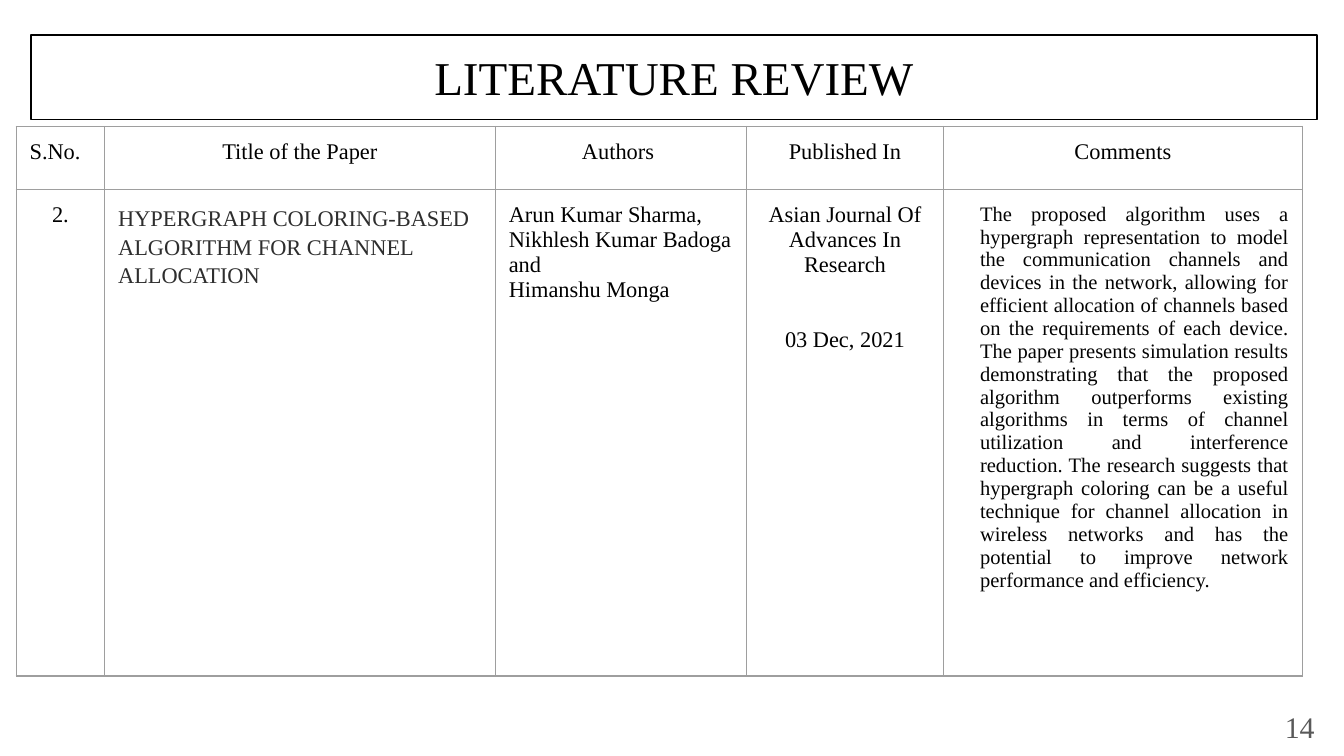
from dataclasses import dataclass

from lxml import etree
from pptx import Presentation
from pptx import util as u
from pptx.dml.color import RGBColor
from pptx.enum import text
from pptx.oxml import ns

ALIGN = text.PP_ALIGN
SLIDE_WIDTH = 10
SLIDE_HEIGHT = SLIDE_WIDTH * 9 / 16


@dataclass(frozen=True)
class Theme:
    font: str = "Times New Roman"
    ink: str = "000000"
    paper_title: str = "2E2E2E"
    comment: str = "030303"
    page_number: str = "595959"
    grid: str = "9E9E9E"
    title_size: float = 25.2
    number_size: float = 16
    cell_size: float = 12
    comment_size: float = 11
    line: float = 0.75
    inset: float = 0.1


THEME = Theme()


def write(frame, content, size=THEME.cell_size, color=THEME.ink, align=ALIGN.LEFT,
          spacing=None, indent=0, gap_before_last=0):
    """Fill a text frame, one paragraph per line of content."""
    lines = content.split("\n")
    for index, line in enumerate(lines):
        paragraph = frame.add_paragraph() if index else frame.paragraphs[0]
        paragraph.alignment = align
        if spacing:
            paragraph.line_spacing = spacing
        if indent:
            properties = paragraph._p.get_or_add_pPr()
            properties.set("marL", str(u.Inches(indent)))
            properties.set("indent", "0")
        if gap_before_last and index == len(lines) - 1:
            paragraph.space_before = u.Pt(gap_before_last)
        run = paragraph.add_run()
        run.text = line
        run.font.name = THEME.font
        run.font.size = u.Pt(size)
        run.font.color.rgb = RGBColor.from_string(color)


def set_insets(owner):
    for side in ("left", "top", "right", "bottom"):
        setattr(owner, f"margin_{side}", u.Inches(THEME.inset))


def draw_borders(cell):
    properties = cell._tc.get_or_add_tcPr()
    for side in ("lnL", "lnR", "lnT", "lnB"):
        border = etree.SubElement(properties, ns.qn(f"a:{side}"), w=str(u.Pt(THEME.line)))
        fill = etree.SubElement(border, ns.qn("a:solidFill"))
        etree.SubElement(fill, ns.qn("a:srgbClr"), val=THEME.grid)


class ReviewSlide:
    """Places elements by shares of the slide's width and height."""

    def __init__(self, deck, theme):
        self.theme = theme
        self.width, self.height = deck.slide_width, deck.slide_height
        self.slide = deck.slides.add_slide(deck.slide_layouts[5])

    def area(self, left, top, width, height):
        return (round(left * self.width), round(top * self.height),
                round(width * self.width), round(height * self.height))

    def title(self, content, *shares):
        title = self.slide.shapes.title
        title.left, title.top, title.width, title.height = self.area(*shares)
        title.line.color.rgb = RGBColor.from_string(self.theme.ink)
        title.line.width = u.Pt(self.theme.line)
        frame = title.text_frame
        set_insets(frame)
        frame.auto_size = text.MSO_AUTO_SIZE.NONE
        frame.vertical_anchor = text.MSO_ANCHOR.TOP
        write(frame, content, size=self.theme.title_size, align=ALIGN.CENTER)

    def page_number(self, content, *shares):
        frame = self.slide.shapes.add_textbox(*self.area(*shares)).text_frame
        set_insets(frame)
        frame.word_wrap = True
        frame.vertical_anchor = text.MSO_ANCHOR.MIDDLE
        write(frame, content, size=self.theme.number_size,
              color=self.theme.page_number, align=ALIGN.RIGHT)

    def table(self, rows, columns, row_shares, *shares):
        """Each cell is a pair of its text and its format."""
        area = self.area(*shares)
        table = self.slide.shapes.add_table(len(rows), len(columns), *area).table
        table.first_row = table.horz_banding = False
        for column, share in zip(table.columns, columns):
            column.width = round(share * area[2])
        for row, share in zip(table.rows, row_shares):
            row.height = round(share * area[3])
        for row, entries in zip(table.rows, rows):
            for cell, (content, style) in zip(row.cells, entries):
                set_insets(cell)
                draw_borders(cell)
                cell.fill.background()
                write(cell.text_frame, content, **style)


def main():
    deck = Presentation()
    deck.slide_width, deck.slide_height = u.Inches(SLIDE_WIDTH), u.Inches(SLIDE_HEIGHT)
    review = ReviewSlide(deck, THEME)

    centred = {"align": ALIGN.CENTER}
    headings = [("S.No.", {})] + [
        (heading, centred)
        for heading in ("Title of the Paper", "Authors ", "Published In", "Comments")
    ]
    paper = [
        ("2.", centred),
        ("HYPERGRAPH COLORING-BASED ALGORITHM FOR CHANNEL ALLOCATION",
         {"color": THEME.paper_title, "spacing": 1.15}),
        ("Arun Kumar Sharma,\nNikhlesh Kumar Badoga and\nHimanshu Monga", {}),
        ("Asian Journal Of Advances In Research\n03 Dec, 2021",
         {"align": ALIGN.CENTER, "gap_before_last": 27}),
        ("The proposed algorithm uses a hypergraph representation to model the "
         "communication channels and devices in the network, allowing for efficient "
         "allocation of channels based on the requirements of each device. The paper "
         "presents simulation results demonstrating that the proposed algorithm "
         "outperforms existing algorithms in terms of channel utilization and "
         "interference reduction. The research suggests that hypergraph coloring can "
         "be a useful technique for channel allocation in wireless networks and has "
         "the potential to improve network performance and efficiency.",
         {"size": THEME.comment_size, "color": THEME.comment,
          "align": ALIGN.JUSTIFY, "indent": 0.17}),
    ]

    review.title("LITERATURE REVIEW",
                 0.023, 0.26 / SLIDE_HEIGHT, 0.957, 0.63 / SLIDE_HEIGHT)
    review.page_number("14", 0.928, 5.19 / SLIDE_HEIGHT, 0.06, 0.43 / SLIDE_HEIGHT)
    column_inches = (0.66, 2.91, 1.87, 1.47, 2.67)
    columns = [inches / sum(column_inches) for inches in column_inches]
    review.table([headings, paper], columns, (0.47 / 4.09, 3.62 / 4.09),
                 0.012, 0.94 / SLIDE_HEIGHT, 0.957, 4.09 / SLIDE_HEIGHT)
    deck.save("out.pptx")


if __name__ == "__main__":
    main()
